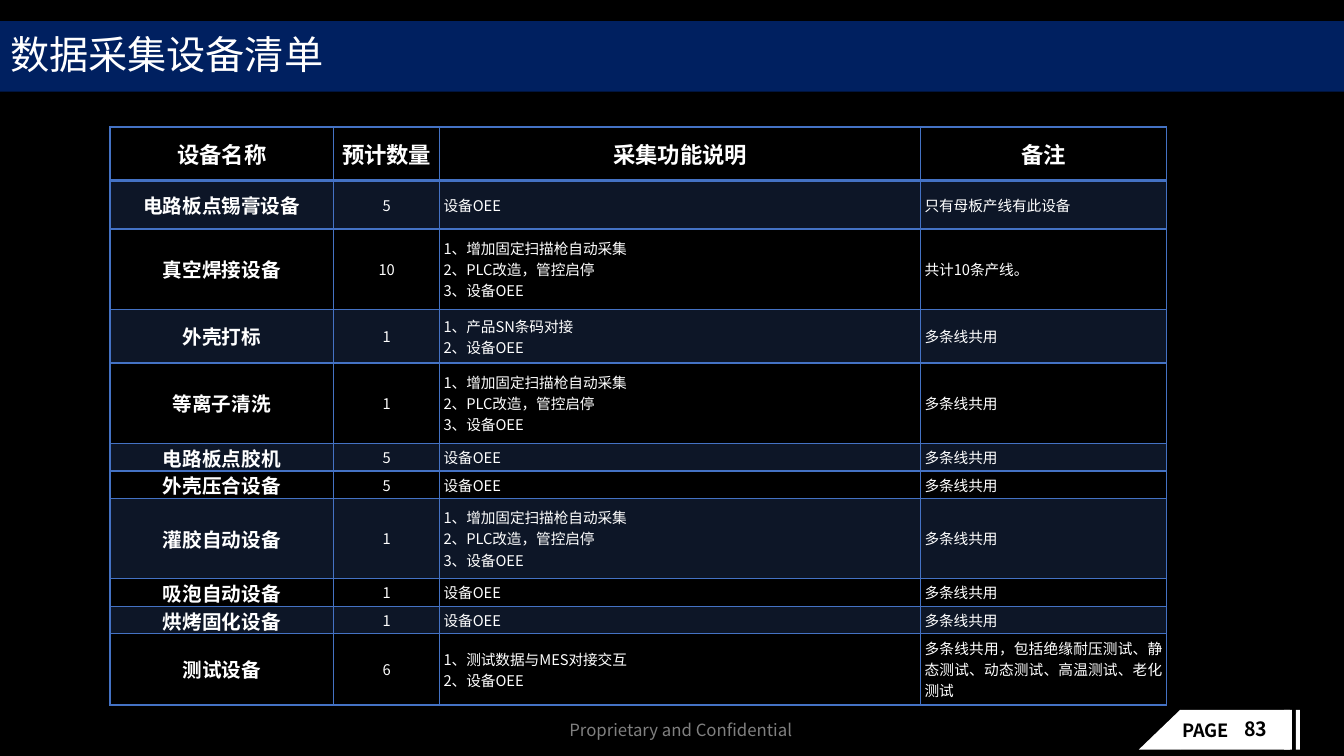
from lxml.etree import SubElement
from pptx import Presentation
from pptx.dml.color import RGBColor
from pptx.enum.shapes import MSO_SHAPE as Shape
from pptx.enum.text import MSO_ANCHOR as Anchor, MSO_AUTO_SIZE as AutoSize, PP_ALIGN as Align
from pptx.oxml.ns import qn
from pptx.util import Cm, Pt

FONT = "Noto Sans CJK SC"
BLACK = RGBColor(0x00, 0x00, 0x00)
WHITE = RGBColor(0xFF, 0xFF, 0xFF)
GRAY = RGBColor(0x80, 0x80, 0x80)
NAVY = RGBColor(0x00, 0x20, 0x60)
BLUE = RGBColor(0x44, 0x72, 0xC4)

BAND_ALPHA = 20
COLUMN_WIDTHS = [5.64, 2.67, 12.12, 6.2]
COLUMN_ALIGNS = [Align.CENTER, Align.CENTER, Align.LEFT, Align.JUSTIFY]
HEADINGS = ["设备名称", "预计数量", "采集功能说明", "备注"]
OEE = "设备OEE"
SCAN_PLC_OEE = "1、增加固定扫描枪自动采集\n2、PLC改造，管控启停\n3、设备OEE"
SHARED = "多条线共用"
HEADER_HEIGHT = 1.35
# Row height in cm, then the four cells
DEVICES = [
    (1.22, "电路板点锡膏设备", "5", OEE, "只有母板产线有此设备"),
    (2.03, "真空焊接设备", "10", SCAN_PLC_OEE, "共计10条产线。"),
    (1.35, "外壳打标", "1", "1、产品SN条码对接\n2、设备OEE", SHARED),
    (2.03, "等离子清洗", "1", SCAN_PLC_OEE, SHARED),
    (0.69, "电路板点胶机", "5", OEE, SHARED),
    (0.69, "外壳压合设备", "5", OEE, SHARED),
    (2.03, "灌胶自动设备", "1", SCAN_PLC_OEE, SHARED),
    (0.69, "吸泡自动设备", "1", OEE, SHARED),
    (0.69, "烘烤固化设备", "1", OEE, SHARED),
    (1.8, "测试设备", "6", "1、测试数据与MES对接交互\n2、设备OEE",
     SHARED + "，包括绝缘耐压测试、静态测试、动态测试、高温测试、老化测试"),
]


def write_text(frame, text, size, color=WHITE, bold=False, align=Align.LEFT, spacing=None):
    """Fill a text frame, one paragraph per line of text."""
    for index, line in enumerate(text.split("\n")):
        paragraph = frame.paragraphs[0] if index == 0 else frame.add_paragraph()
        paragraph.alignment = align
        paragraph.line_spacing = spacing
        run = paragraph.add_run()
        run.text = line
        font = run.font
        font.size, font.bold, font.name = Pt(size), bold, FONT
        font.color.rgb = color
        SubElement(run._r.get_or_add_rPr(), qn("a:ea"), typeface=FONT)


def add_white_shape(slide, kind, left, width):
    part = slide.shapes.add_shape(kind, Cm(left), Cm(17.89), Cm(width), Cm(1))
    part.shadow.inherit = False
    part.fill.solid()
    part.fill.fore_color.rgb = WHITE
    part.line.fill.background()
    return part


def add_label(slide, left, width, text, size, wrap=False, **text_format):
    label = slide.shapes.add_textbox(Cm(left), Cm(18), Cm(width), Cm(0.8))
    frame = label.text_frame
    frame.word_wrap = wrap
    frame.auto_size = AutoSize.NONE if wrap else AutoSize.SHAPE_TO_FIT_TEXT
    write_text(frame, text, size, **text_format)


def add_footer(slide):
    for left, width in [(29.74, 2.77), (32.36, 0.2), (32.66, 0.1)]:
        add_white_shape(slide, Shape.RECTANGLE, left, width)
    slant = add_white_shape(slide, Shape.RIGHT_TRIANGLE, 28.7, 1.04)
    slant.element.spPr.find(qn("a:xfrm")).set("flipH", "1")
    add_label(slide, 29.54, 1.85, "PAGE", 13, color=BLACK, bold=True)
    add_label(slide, 31.11, 1.47, "83", 14, wrap=True, color=BLACK, bold=True, spacing=0.9)
    add_label(slide, 14.1, 6.5, "Proprietary and Confidential", 12, color=GRAY)


def format_title(slide):
    title = slide.shapes.title
    title.left, title.top, title.width, title.height = Cm(0), Cm(0.53), Cm(33.87), Cm(1.78)
    title.fill.solid()
    title.fill.fore_color.rgb = NAVY
    title.text_frame.vertical_anchor = Anchor.MIDDLE
    write_text(title.text_frame, "数据采集设备清单", 28, spacing=0.9)


def set_borders(cell, **widths):
    """Draw the four sides, 1 pt wide unless widths names a side (L, R, T, B)."""
    properties = cell._tc.get_or_add_tcPr()
    for side in "LRTB":
        line = SubElement(properties, qn(f"a:ln{side}"), w=str(Pt(widths.get(side, 1))))
        fill = SubElement(line, qn("a:solidFill"))
        SubElement(fill, qn("a:srgbClr"), val=str(BLUE))


def fill_cell(cell, banded):
    if not banded:
        cell.fill.background()
        return
    cell.fill.solid()
    cell.fill.fore_color.rgb = BLUE
    color = cell._tc.tcPr.find(qn("a:solidFill")).find(qn("a:srgbClr"))
    SubElement(color, qn("a:alpha"), val=str(BAND_ALPHA * 1000))


def add_device_table(slide):
    rows = [(HEADER_HEIGHT, *HEADINGS), *DEVICES]
    heights = [row[0] for row in rows]
    table = slide.shapes.add_table(
        len(rows), len(HEADINGS), Cm(2.77), Cm(3.2),
        Cm(sum(COLUMN_WIDTHS)), Cm(sum(heights))).table
    table.horz_banding = False
    for column, width in zip(table.columns, COLUMN_WIDTHS):
        column.width = Cm(width)
    for r, (height, *texts) in enumerate(rows):
        table.rows[r].height = Cm(height)
        header = r == 0
        for c, text in enumerate(texts):
            cell = table.cell(r, c)
            cell.margin_left = cell.margin_right = Cm(0.1)
            cell.margin_top = cell.margin_bottom = 0
            cell.vertical_anchor = Anchor.MIDDLE
            set_borders(cell, B=2 if header else 1, T=2 if r == 1 else 1)
            fill_cell(cell, banded=r % 2 == 1)
            size = 16 if header else 14 if c == 0 else 10.5
            write_text(cell.text_frame, text, size, bold=header or c == 0,
                       align=Align.CENTER if header else COLUMN_ALIGNS[c])


def main():
    deck = Presentation()
    deck.slide_width, deck.slide_height = Cm(33.87), Cm(19.05)
    slide = deck.slides.add_slide(deck.slide_layouts[5])
    slide.background.fill.solid()
    slide.background.fill.fore_color.rgb = BLACK
    add_footer(slide)
    format_title(slide)
    add_device_table(slide)
    deck.save("out.pptx")


if __name__ == "__main__":
    main()
